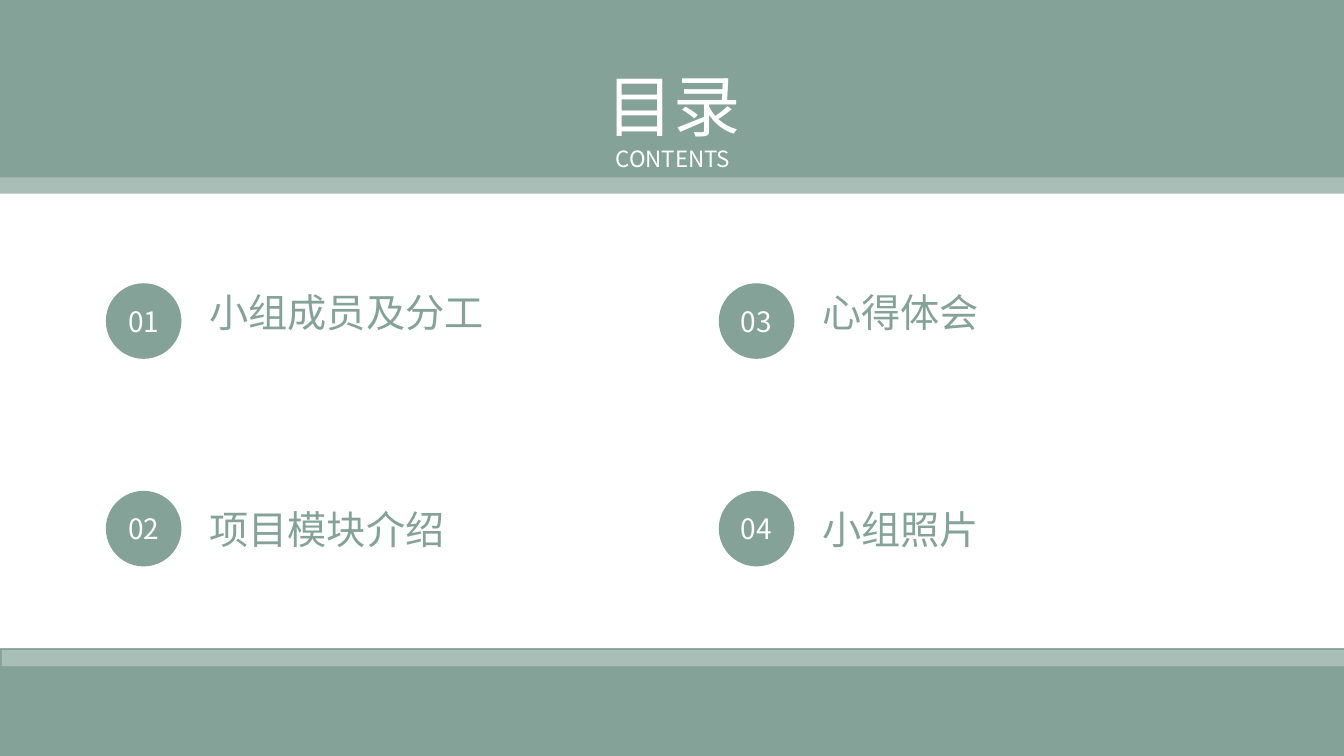
from lxml.etree import SubElement
from pptx import Presentation
from pptx.dml.color import RGBColor
from pptx.enum.shapes import MSO_SHAPE
from pptx.enum.text import MSO_ANCHOR, PP_ALIGN
from pptx.oxml.ns import qn
from pptx.util import Pt

GREEN = RGBColor(0x85, 0xA2, 0x99)
PALE_GREEN = RGBColor(0xAA, 0xBE, 0xB8)
WHITE = RGBColor(0xFF, 0xFF, 0xFF)
LIGHT_GREY = RGBColor(0xF2, 0xF2, 0xF2)
FONT = "Noto Sans CJK SC"

SLIDE_WIDTH, SLIDE_HEIGHT = 960, 540
CIRCLE_SIZE = 54
LABEL_OFFSET = 67
COLUMN_LEFTS = (75.6, 513.4)
ROW_TOPS = ((202.3, 202.3), (350.6, 357.1))  # circle, label
COLUMNS = (
    ("小组成员及分工", "项目模块介绍"),
    ("心得体会", "小组照片"),
)


class ContentsSlide:
    def __init__(self, presentation):
        self.slide = presentation.slides.add_slide(presentation.slide_layouts[5])
        background = self.slide.background.fill
        background.solid()
        background.fore_color.rgb = LIGHT_GREY

    def set_text(self, shape, text, size, color, alignment):
        text_frame = shape.text_frame
        text_frame.text = text
        text_frame.word_wrap = True
        paragraph = text_frame.paragraphs[0]
        paragraph.alignment = alignment
        for run in paragraph.runs:
            run.font.size = Pt(size)
            run.font.color.rgb = color
            run.font.name = FONT
            # East Asian characters take their typeface from a:ea
            SubElement(run.font._element, qn("a:ea"), typeface=FONT)

    def add_filled_shape(self, kind, left, top, width, height, color):
        shape = self.slide.shapes.add_shape(
            kind, Pt(left), Pt(top), Pt(width), Pt(height))
        shape.shadow.inherit = False
        shape.fill.solid()
        shape.fill.fore_color.rgb = color
        shape.line.fill.background()
        return shape

    def add_band(self, top, height, color, left=0):
        self.add_filled_shape(
            MSO_SHAPE.RECTANGLE, left, top, SLIDE_WIDTH, height, color)

    def add_number(self, left, top, number):
        circle = self.add_filled_shape(
            MSO_SHAPE.OVAL, left, top, CIRCLE_SIZE, CIRCLE_SIZE, GREEN)
        text_frame = circle.text_frame
        text_frame.margin_left = text_frame.margin_right = 0
        text_frame.margin_top = text_frame.margin_bottom = 0
        text_frame.vertical_anchor = MSO_ANCHOR.MIDDLE
        self.set_text(circle, f"{number:02d}", 20, WHITE, PP_ALIGN.CENTER)

    def add_text(self, left, top, width, height, text, size, color,
                 alignment=PP_ALIGN.LEFT):
        box = self.slide.shapes.add_textbox(
            Pt(left), Pt(top), Pt(width), Pt(height))
        self.set_text(box, text, size, color, alignment)

    def set_title(self, left, top, width, height, text):
        title = self.slide.shapes.title
        title.left, title.top = Pt(left), Pt(top)
        title.width, title.height = Pt(width), Pt(height)
        title.text_frame.vertical_anchor = MSO_ANCHOR.TOP
        self.set_text(title, text, 48, WHITE, PP_ALIGN.CENTER)
        # Bring the title in front of the bands
        self.slide.shapes._spTree.append(title._element)


def main():
    presentation = Presentation()
    presentation.slide_width = Pt(SLIDE_WIDTH)
    presentation.slide_height = Pt(SLIDE_HEIGHT)
    contents = ContentsSlide(presentation)

    contents.add_band(0, SLIDE_HEIGHT, GREEN)
    contents.add_band(138.2, 324.7, WHITE)
    contents.add_band(126.7, 11.5, PALE_GREEN)
    contents.add_band(464.4, 11.5, PALE_GREEN, left=1.4)

    number = 0
    for left, labels in zip(COLUMN_LEFTS, COLUMNS):
        for (circle_top, label_top), label in zip(ROW_TOPS, labels):
            number += 1
            contents.add_number(left, circle_top, number)
            contents.add_text(
                left + LABEL_OFFSET, label_top, 238, 41, label, 28, GREEN)

    contents.add_text(405.4, 100, 150.5, 26.6, "CONTENTS", 16, WHITE,
                      PP_ALIGN.CENTER)
    contents.set_title(401.8, 42.5, 158.4, 65.5, "目录")
    presentation.save("out.pptx")


if __name__ == "__main__":
    main()
